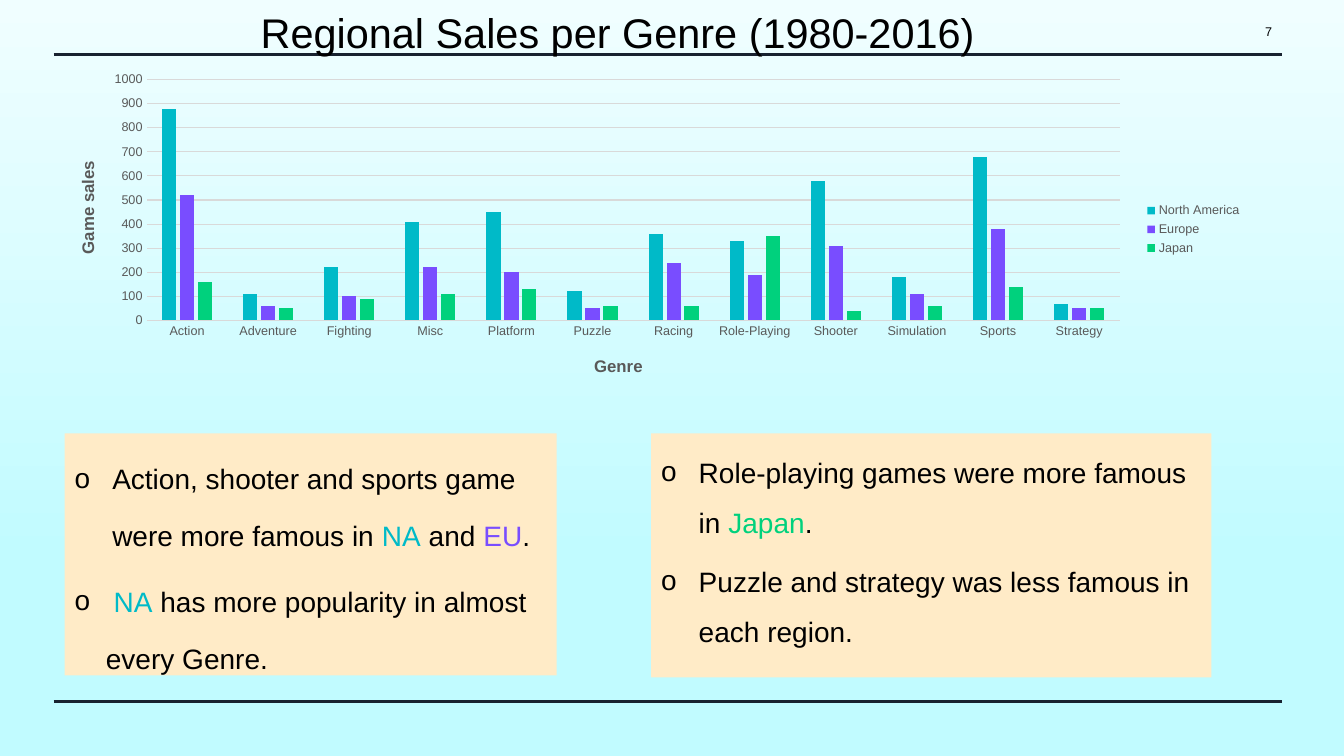
from lxml import etree
from pptx import Presentation
from pptx.chart.data import CategoryChartData
from pptx.dml.color import RGBColor
from pptx.enum import chart as charts, shapes, text
from pptx.oxml import parse_xml
from pptx.oxml.ns import qn
from pptx.util import Cm, Pt


class Theme:
    font = "Arial"
    ink, grey, grid, rule, card = "000000", "595959", "D9D9D9", "182230", "FFEBC7"
    sky = [(0, "F0FEFF"), (0.74, "C1FBFF")]
    america, europe, japan = "00BAC8", "794DFF", "00D17D"
    title, body, axis_title, small = 29.6, 20, 12, 9


# Content
TITLE = "Regional Sales per Genre (1980-2016)"
PAGE = "7"
GENRES = ["Action", "Adventure", "Fighting", "Misc", "Platform", "Puzzle", "Racing",
          "Role-Playing", "Shooter", "Simulation", "Sports", "Strategy"]
SALES = [
    ("North America", Theme.america, [880, 110, 220, 410, 450, 120, 360, 330, 580, 180, 680, 70]),
    ("Europe", Theme.europe, [520, 60, 100, 220, 200, 50, 240, 190, 310, 110, 380, 50]),
    ("Japan", Theme.japan, [160, 50, 90, 110, 130, 60, 60, 350, 40, 60, 140, 50]),
]
# Each card: box in cm, line spacing, then (indent in cm, runs) for each bullet
CARDS = [
    ((16.41, 10.92, 14.12, 6.15), 1.5, [
        (0.95, [("Role-playing games were more famous in ", Theme.ink),
                ("Japan", Theme.japan), (".", Theme.ink)]),
        (0.95, [("Puzzle and strategy was less famous in each region.", Theme.ink)]),
    ]),
    ((1.63, 10.92, 12.4, 6.1), 1.7, [
        (0.95, [("Action, shooter and sports game were more famous in ", Theme.ink),
                ("NA", Theme.america), (" and ", Theme.ink),
                ("EU", Theme.europe), (".", Theme.ink)]),
        (0.79, [(" ", Theme.ink), ("NA", Theme.america),
                (" has more popularity in almost every Genre.", Theme.ink)]),
    ]),
]
RULE_LEFT, RULE_RIGHT, RULE_TOPS = 1.35, 32.31, (1.37, 17.68)

deck = Presentation()
deck.slide_width, deck.slide_height = Cm(33.87), Cm(19.05)
slide = deck.slides.add_slide(deck.slide_layouts[6])


def rgb(code):
    return RGBColor.from_string(code)


def style(font, size, color, bold=False):
    font.name, font.size, font.bold = Theme.font, Pt(size), bold
    font.color.rgb = rgb(color)


def write(paragraph, runs, size=Theme.body, align=text.PP_ALIGN.LEFT, after=0,
          spacing=None, indent=None):
    """Fill a paragraph with (words, colour) runs; an indent makes it a bullet."""
    paragraph.alignment, paragraph.space_after = align, Pt(after)
    if spacing:
        paragraph.line_spacing = spacing
    if indent:
        props = paragraph._p.get_or_add_pPr()
        props.set("marL", str(Cm(indent)))
        props.set("indent", str(-Cm(indent)))
        etree.SubElement(props, qn("a:buFont")).set("typeface", Theme.font)
        etree.SubElement(props, qn("a:buChar")).set("char", "o")
    for words, color in runs:
        run = paragraph.add_run()
        run.text = words
        style(run.font, size, color)


def label(box, words, **look):
    frame = slide.shapes.add_textbox(*map(Cm, box)).text_frame
    frame.word_wrap, frame.vertical_anchor = True, text.MSO_ANCHOR.MIDDLE
    write(frame.paragraphs[0], [(words, Theme.ink)], **look)


def place(part, index, **fractions):
    """Give a chart part a fixed position, as fractions of the chart."""
    for old in part.findall(qn("c:layout")):
        part.remove(old)
    modes = {"xMode": "edge", "yMode": "edge"}
    if "w" in fractions:
        modes = {"layoutTarget": "inner", **modes}
    layout = etree.Element(qn("c:layout"))
    manual = etree.SubElement(layout, qn("c:manualLayout"))
    for tag, value in {**modes, **fractions}.items():
        etree.SubElement(manual, qn("c:" + tag)).set("val", str(value))
    part.insert(index, layout)


# Background
sky = slide.background.fill
sky.gradient()
sky.gradient_angle = 270
for stop, (position, color) in zip(sky.gradient_stops, Theme.sky):
    stop.position, stop.color.rgb = position, rgb(color)

# Rules above and below the content
for top in RULE_TOPS:
    rule = slide.shapes.add_connector(shapes.MSO_CONNECTOR.STRAIGHT, Cm(RULE_LEFT), Cm(top),
                                      Cm(RULE_RIGHT), Cm(top))
    rule.line.color.rgb, rule.line.width = rgb(Theme.rule), Pt(2.25)
    etree.SubElement(rule._element.spPr, qn("a:effectLst"))

# Title and page number
label((6.32, -0.08, 18.67, 1.75), TITLE, size=Theme.title, after=6)
label((30.53, 0.28, 1.78, 1.02), PAGE, size=Theme.small, align=text.PP_ALIGN.RIGHT)

# Finding cards
for box, spacing, findings in CARDS:
    card = slide.shapes.add_shape(shapes.MSO_SHAPE.RECTANGLE, *map(Cm, box))
    card.shadow.inherit = False
    card.fill.solid()
    card.fill.fore_color.rgb = rgb(Theme.card)
    card.line.fill.background()
    frame = card.text_frame
    frame.word_wrap, frame.vertical_anchor = True, text.MSO_ANCHOR.TOP
    for number, (indent, runs) in enumerate(findings):
        paragraph = frame.add_paragraph() if number else frame.paragraphs[0]
        write(paragraph, runs, after=6, spacing=spacing, indent=indent)

# Sales chart
data = CategoryChartData()
data.categories = GENRES
for region, _, values in SALES:
    data.add_series(region, values)
chart = slide.shapes.add_chart(charts.XL_CHART_TYPE.COLUMN_CLUSTERED, Cm(1.27), Cm(1.68),
                               Cm(30.28), Cm(8.2), data).chart
style(chart.font, Theme.small, Theme.grey)
chart.has_title = False
chart.has_legend = True
chart.legend.position = charts.XL_LEGEND_POSITION.RIGHT
chart.legend.include_in_layout = False
style(chart.legend.font, Theme.small, Theme.grey)

plot = chart.plots[0]
plot.gap_width, plot.overlap, plot.vary_by_categories = 219, -27, False
for series, (_, color, _) in zip(plot.series, SALES):
    series.format.fill.solid()
    series.format.fill.fore_color.rgb = rgb(color)

# Axes and their titles
genre_axis, sales_axis = chart.category_axis, chart.value_axis
for axis, name, x, y in [(genre_axis, "Genre", 0.45, 0.88),
                         (sales_axis, "Game sales", 0.02, 0.28)]:
    axis.major_tick_mark = axis.minor_tick_mark = charts.XL_TICK_MARK.NONE
    style(axis.tick_labels.font, Theme.small, Theme.grey)
    heading = axis.axis_title.text_frame
    heading.text = name
    style(heading.paragraphs[0].runs[0].font, Theme.axis_title, Theme.grey, bold=True)
    place(axis.axis_title._element, 1, x=x, y=y)
sales_axis.axis_title.text_frame._txBody.bodyPr.set("rot", "-5400000")
sales_axis.minimum_scale, sales_axis.maximum_scale, sales_axis.major_unit = 0, 1000, 100
sales_axis.format.line.fill.background()
for line in (genre_axis.format.line, sales_axis.major_gridlines.format.line):
    line.color.rgb, line.width = rgb(Theme.grid), Pt(0.75)
place(chart._chartSpace.chart.plotArea, 0, x=0.08, y=0.04, w=0.81, h=0.74)

deck.save("out.pptx")
